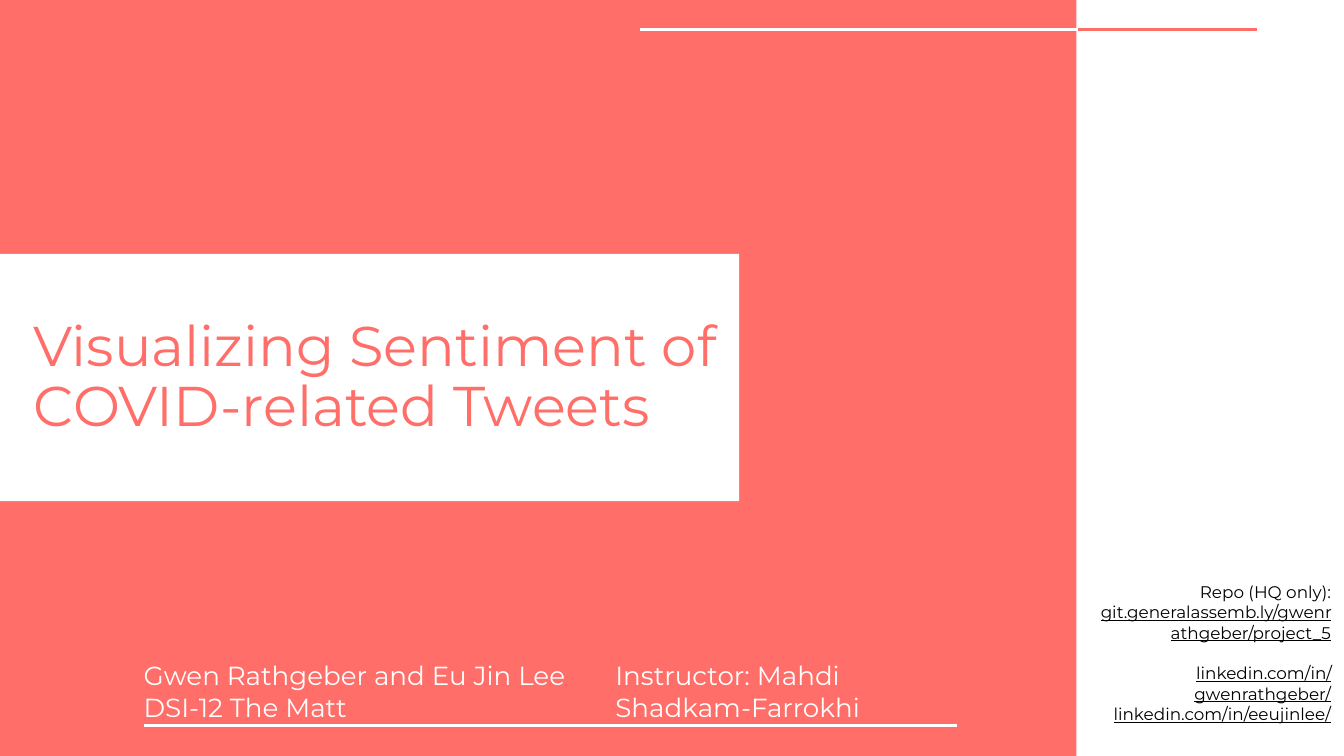
from lxml.etree import SubElement
from pptx import Presentation
from pptx.dml.color import RGBColor
from pptx.enum.shapes import MSO_CONNECTOR, MSO_SHAPE
from pptx.enum.text import MSO_ANCHOR, MSO_AUTO_SIZE, PP_ALIGN
from pptx.oxml.ns import qn
from pptx.util import Inches, Pt

CORAL = RGBColor(0xFF, 0x6E, 0x68)
WHITE = RGBColor(0xFF, 0xFF, 0xFF)
BLACK = RGBColor(0, 0, 0)
FONT = "Montserrat"


def add_panel(page, left, top, width, height, color):
    panel = page.shapes.add_shape(
        MSO_SHAPE.RECTANGLE, Inches(left), Inches(top), Inches(width), Inches(height))
    panel.shadow.inherit = False
    panel.fill.solid()
    panel.fill.fore_color.rgb = color
    panel.line.fill.background()


def add_rule(page, start, end, y, color):
    rule = page.shapes.add_connector(
        MSO_CONNECTOR.STRAIGHT, Inches(start), Inches(y), Inches(end), Inches(y))
    rule.line.color.rgb = color
    rule.line.width = Pt(1.5)
    SubElement(rule._element.spPr, qn("a:effectLst"))


def set_frame(box, anchor=MSO_ANCHOR.TOP):
    frame = box.text_frame
    frame.word_wrap = True
    frame.auto_size = MSO_AUTO_SIZE.NONE
    frame.vertical_anchor = anchor
    frame.margin_left = frame.margin_right = Inches(0.1)
    frame.margin_top = frame.margin_bottom = Inches(0.1)
    return frame


def add_span(para, text, size, color, underline=False):
    span = para.add_run()
    span.text = text
    span.font.name = FONT
    span.font.size = Pt(size)
    span.font.color.rgb = color
    if underline:
        span.font.underline = True


def add_text(page, left, top, width, height, paras, size, color, align=PP_ALIGN.LEFT):
    """Each paragraph is a list of (text, underline) spans."""
    box = page.shapes.add_textbox(
        Inches(left), Inches(top), Inches(width), Inches(height))
    frame = set_frame(box)
    for index, spans in enumerate(paras):
        para = frame.paragraphs[0] if index == 0 else frame.add_paragraph()
        para.alignment = align
        for text, underline in spans:
            add_span(para, text, size, color, underline)
    return frame


def add_title(page, left, top, width, height):
    # White band running off the left edge
    add_panel(page, left, top, width, height, WHITE)
    title = page.shapes.title
    title.left, title.top = Inches(left + 0.21), Inches(top + 0.36)
    title.width, title.height = Inches(width - 0.22), Inches(1.13)
    para = set_frame(title, MSO_ANCHOR.MIDDLE).paragraphs[0]
    para.alignment = PP_ALIGN.LEFT
    para.line_spacing = 0.9
    add_span(para, "Visualizing Sentiment of COVID-related Tweets", 30, CORAL)
    # Bring the title in front of its band
    page.shapes._spTree.append(title._element)


def add_credits(page, left, top):
    columns = [
        (0, [[("Gwen Rathgeber and Eu Jin Lee DSI-12 The Matt", False)]]),
        (3.51, [[("Instructor: Mahdi", False)], [("Shadkam-Farrokhi", False)]]),
    ]
    for offset, paras in columns:
        add_text(page, left + offset, top, 3.75, 0.41, paras, 14, WHITE)
    add_rule(page, left + 0.1, left + 6.15, top + 0.59, WHITE)


def add_links(page, left, top, width, height):
    paras = [
        [("Repo (HQ only): ", False),
         ("git.generalassemb.ly/gwenrathgeber/project_5", True)],
        [("linkedin.com/in/gwenrathgeber/", True)],
        [("linkedin.com/in/eeujinlee/", True)],
    ]
    frame = add_text(page, left, top, width, height, paras, 9, BLACK, PP_ALIGN.RIGHT)
    # Gap between the repository and the profiles
    frame.paragraphs[1].space_before = Pt(11)


def main():
    deck = Presentation()
    # Widescreen, 16 by 9
    deck.slide_width = Inches(10)
    deck.slide_height = deck.slide_width * 9 // 16
    page = deck.slides.add_slide(deck.slide_layouts[5])

    # Coral background panel
    add_panel(page, -0.02, -0.02, 8.03, 5.69, CORAL)
    add_title(page, -0.06, 1.89, 5.56, 1.84)

    # Top rule changes colour at the panel's edge
    add_rule(page, 4.76, 9.35, 0.22, CORAL)
    add_rule(page, 4.76, 8.02, 0.22, WHITE)

    add_credits(page, 0.97, 4.81)
    add_links(page, 8.02, 4.23, 1.98, 1.18)
    deck.save("out.pptx")


if __name__ == "__main__":
    main()
